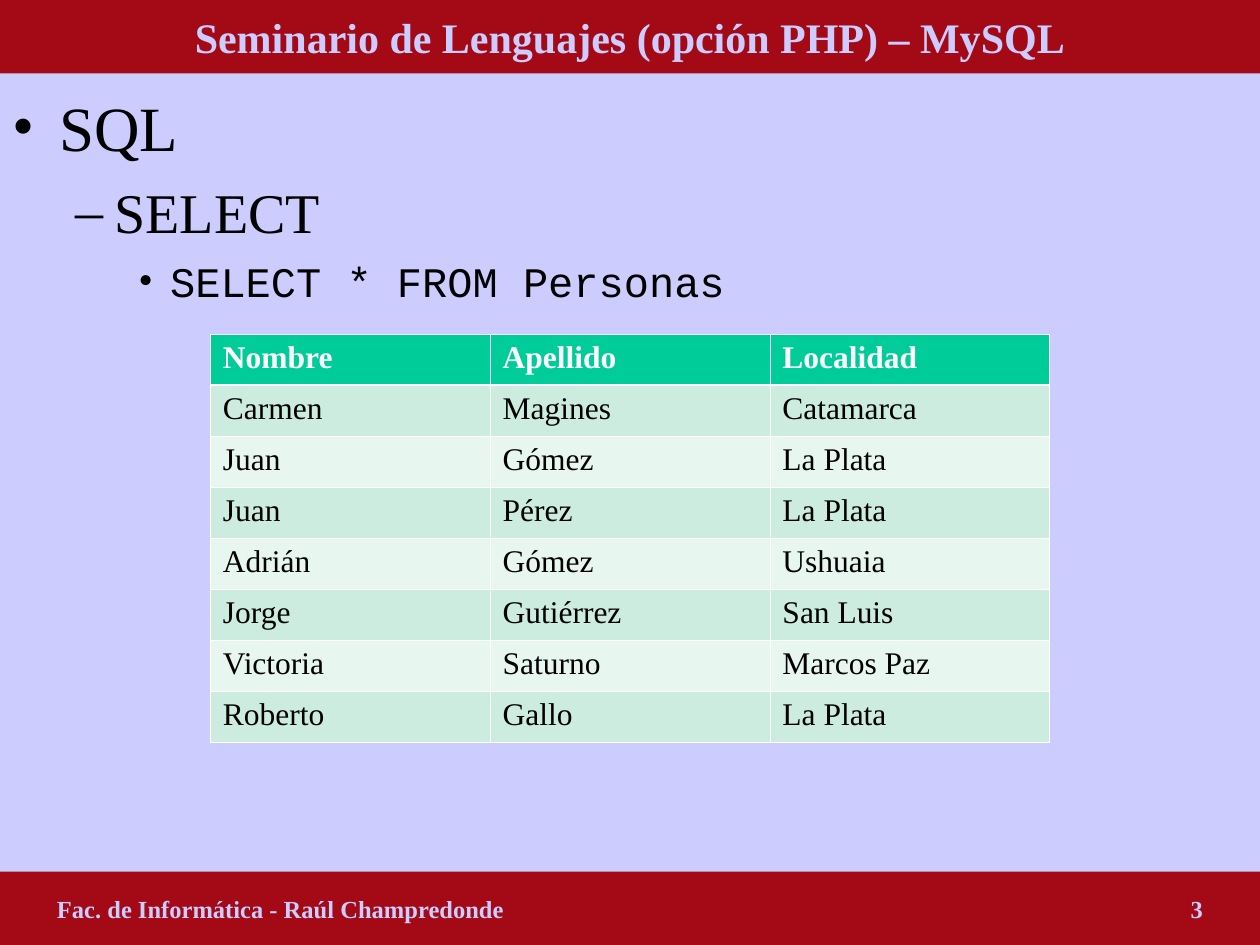
"""Build the SQL SELECT slide with its result table."""
from lxml import etree
from pptx import Presentation
from pptx.dml.color import RGBColor
from pptx.enum.shapes import MSO_SHAPE
from pptx.enum.text import MSO_ANCHOR, PP_ALIGN
from pptx.oxml.ns import qn
from pptx.util import Cm, Pt

RECTANGLE = MSO_SHAPE.RECTANGLE
MIDDLE = MSO_ANCHOR.MIDDLE
LEFT, CENTER = PP_ALIGN.LEFT, PP_ALIGN.CENTER

LAVENDER = RGBColor(0xCC, 0xCC, 0xFF)
CRIMSON = RGBColor(0xA3, 0x0A, 0x16)
GREEN = RGBColor(0x00, 0xCC, 0x99)
MINT = RGBColor(0xCB, 0xEC, 0xDE)
PALE_MINT = RGBColor(0xE7, 0xF6, 0xEF)
WHITE = RGBColor(0xFF, 0xFF, 0xFF)
BLACK = RGBColor(0x00, 0x00, 0x00)
SERIF, MONO = "Times New Roman", "Courier New"

TITLE = "Seminario de Lenguajes (opción PHP) – MySQL"
FOOTER = "Fac. de Informática - Raúl Champredonde\t3"
OUTLINE = [
    ("SQL", "•", 36, SERIF, 0, 0.95, 0.95),
    ("SELECT", "–", 32, SERIF, 8, 2.06, 0.79),
    ("SELECT * FROM Personas", "•", 24, MONO, 6, 3.18, 0.64),
]
PERSONAS = [
    ("Nombre", "Apellido", "Localidad"),
    ("Carmen", "Magines", "Catamarca"),
    ("Juan", "Gómez", "La Plata"),
    ("Juan", "Pérez", "La Plata"),
    ("Adrián", "Gómez", "Ushuaia"),
    ("Jorge", "Gutiérrez", "San Luis"),
    ("Victoria", "Saturno", "Marcos Paz"),
    ("Roberto", "Gallo", "La Plata"),
]

WIDTH, HEIGHT, BAND = Cm(25.4), Cm(19.05), Cm(1.48)
COLUMN, ROW, TABLE_TOP = Cm(5.64), Cm(1.03), Cm(6.73)
FOOTER_INSET = Cm(1.15)
THIN, THICK = Pt(0.45), Pt(1.47)


def style(paragraph, size, color, name=SERIF, bold=False):
    font = paragraph.font
    font.size, font.name, font.bold = Pt(size), name, bold
    font.color.rgb = color


def add_band(slide, top, text, size, align):
    band = slide.shapes.add_shape(RECTANGLE, 0, top, WIDTH, BAND)
    band.shadow.inherit = False
    band.fill.solid()
    band.fill.fore_color.rgb = CRIMSON
    band.line.fill.background()
    frame = band.text_frame
    frame.vertical_anchor = MIDDLE
    frame.text = text
    paragraph = frame.paragraphs[0]
    paragraph.alignment = align
    return frame, paragraph, size


def add_title(slide):
    _, paragraph, size = add_band(slide, 0, TITLE, 24, CENTER)
    style(paragraph, size, LAVENDER, bold=True)


def add_footer(slide):
    frame, paragraph, size = add_band(slide, HEIGHT - BAND, FOOTER, 14, LEFT)
    frame.margin_left = FOOTER_INSET
    tabs = etree.SubElement(paragraph._p.get_or_add_pPr(), qn("a:tabLst"))
    page_edge = WIDTH - 2 * FOOTER_INSET
    etree.SubElement(tabs, qn("a:tab"), pos=str(page_edge), algn="r")
    style(paragraph, size, LAVENDER, bold=True)


def add_outline(slide):
    body = slide.shapes.add_textbox(0, BAND, WIDTH, HEIGHT - 2 * BAND)
    frame = body.text_frame
    frame.word_wrap = True
    frame.margin_top = Cm(0.3)
    frame.text = "\n".join(entry[0] for entry in OUTLINE)
    for level, (paragraph, entry) in enumerate(zip(frame.paragraphs, OUTLINE)):
        _, bullet, size, name, before, indent, hanging = entry
        paragraph.level = level
        paragraph.space_before = Pt(before)
        properties = paragraph._p.get_or_add_pPr()
        properties.set("marL", str(Cm(indent)))
        properties.set("indent", str(-Cm(hanging)))
        etree.SubElement(properties, qn("a:buFont"), typeface=SERIF)
        etree.SubElement(properties, qn("a:buChar"), char=bullet)
        style(paragraph, size, BLACK, name)


def add_borders(cell, top, bottom):
    properties = cell._tc.get_or_add_tcPr()
    for side, width in (("L", THIN), ("R", THIN), ("T", top), ("B", bottom)):
        line = etree.SubElement(properties, qn(f"a:ln{side}"), w=str(width))
        fill = etree.SubElement(line, qn("a:solidFill"))
        etree.SubElement(fill, qn("a:srgbClr"), val=str(WHITE))


def add_personas(slide):
    rows, columns = len(PERSONAS), len(PERSONAS[0])
    table_width = COLUMN * columns
    table = slide.shapes.add_table(
        rows, columns, (WIDTH - table_width) // 2, TABLE_TOP, table_width, ROW * rows
    ).table
    for column in table.columns:
        column.width = COLUMN
    for r, persona in enumerate(PERSONAS):
        table.rows[r].height = ROW
        header = r == 0
        background = GREEN if header else (PALE_MINT, MINT)[r % 2]
        for c, value in enumerate(persona):
            cell = table.cell(r, c)
            cell.text = value
            add_borders(cell, THICK if r == 1 else THIN, THICK if header else THIN)
            cell.fill.solid()
            cell.fill.fore_color.rgb = background
            style(cell.text_frame.paragraphs[0], 18, WHITE if header else BLACK, bold=header)


def main():
    presentation = Presentation()
    presentation.slide_width, presentation.slide_height = WIDTH, HEIGHT
    slide = presentation.slides.add_slide(presentation.slide_layouts[6])
    slide.background.fill.solid()
    slide.background.fill.fore_color.rgb = LAVENDER
    add_outline(slide)
    add_title(slide)
    add_footer(slide)
    add_personas(slide)
    presentation.save("out.pptx")


if __name__ == "__main__":
    main()
